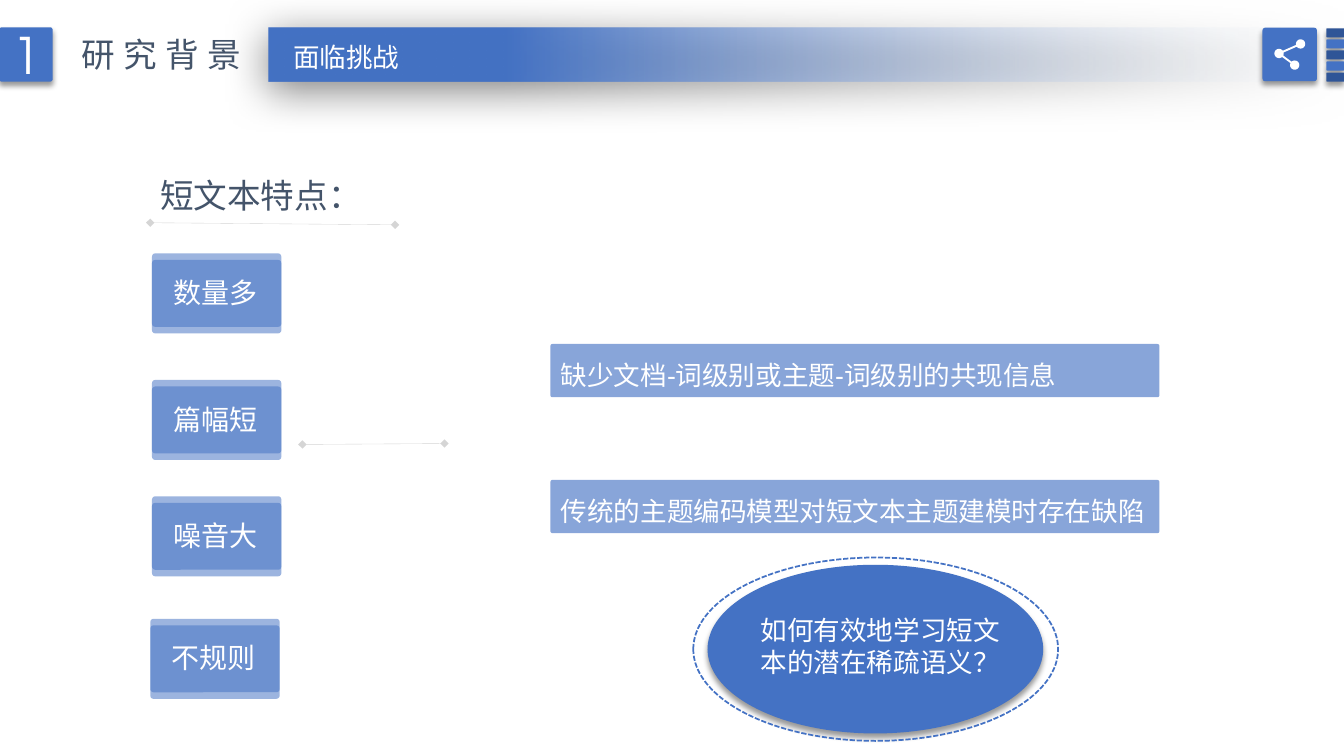
import math

from lxml import etree
from pptx import Presentation
from pptx import util as u
from pptx.dml import color as colors
from pptx.enum import dml, shapes, text
from pptx.oxml import ns

BLUE, NAVY, SLATE, WHITE = "4472C4", "2F5597", "44546A", "FFFFFF"
SANS, ROUND = "Noto Sans CJK SC", "TeX Gyre Adventor"
SMALL_SHADOW = (40, 4, 3, 90)  # opacity, blur, distance, angle

rgb = colors.RGBColor.from_string
presentation = Presentation()
presentation.slide_width, presentation.slide_height = u.Pt(960), u.Pt(540)
slide = presentation.slides.add_slide(presentation.slide_layouts[6])


def add_box(kind, left, top, width, height, fill=BLUE, opacity=100, corner=None, shadow=None):
    shape = slide.shapes.add_shape(kind, *map(u.Pt, (left, top, width, height)))
    shape.shadow.inherit = False
    shape.line.fill.background()
    if corner is not None:
        shape.adjustments[0] = corner
    if fill:
        shape.fill.solid()
        shape.fill.fore_color.rgb = rgb(fill)
        if opacity < 100:
            color = shape._element.spPr.find(".//" + ns.qn("a:srgbClr"))
            etree.SubElement(color, ns.qn("a:alpha"), val=str(opacity * 1000))
    else:
        shape.fill.background()
    if shadow:
        strength, blur, distance, angle = shadow
        effects = shape._element.spPr.find(ns.qn("a:effectLst"))
        outer = etree.SubElement(effects, ns.qn("a:outerShdw"), blurRad=str(u.Pt(blur)),
                                 dist=str(u.Pt(distance)), dir=str(angle * 60000),
                                 algn="ctr", rotWithShape="0")
        color = etree.SubElement(outer, ns.qn("a:srgbClr"), val="000000")
        etree.SubElement(color, ns.qn("a:alpha"), val=str(strength * 1000))
    return shape


def write_text(words, shape=None, box=None, size=19, font=SANS, color=WHITE, align="LEFT",
               anchor="TOP", wrap=True, grow=True, line_spacing=None, tracking=None):
    shape = shape or slide.shapes.add_textbox(*map(u.Pt, box))
    frame = shape.text_frame
    frame.word_wrap = wrap
    frame.vertical_anchor = text.MSO_ANCHOR[anchor]
    if grow:
        frame.auto_size = text.MSO_AUTO_SIZE.SHAPE_TO_FIT_TEXT
    paragraph = frame.paragraphs[0]
    paragraph.alignment = text.PP_ALIGN[align]
    paragraph.line_spacing = line_spacing
    run = paragraph.add_run()
    run.text = words
    run.font.size, run.font.name = u.Pt(size), font
    run.font.color.rgb = rgb(color)
    properties = run.font._element
    etree.SubElement(properties, ns.qn("a:ea"), typeface=SANS)
    if tracking:
        properties.set("spc", str(tracking * 100))


shape_kind = shapes.MSO_SHAPE

# Header band, fading out to the right
band = add_box(shape_kind.RECTANGLE, 192, 20, 768, 38.2, shadow=(50, 31, 6, 97))
band.fill.gradient()
band.fill.gradient_angle = 180
for stop, position, color in zip(band.fill.gradient_stops, (0, 0.78), ("F7FAFD", BLUE)):
    stop.position = position
    stop.color.rgb = rgb(color)
clear_color = band._element.spPr.find(".//" + ns.qn("a:srgbClr"))
etree.SubElement(clear_color, ns.qn("a:alpha"), val="0")

# Header number and titles
number = add_box(shape_kind.ROUNDED_RECTANGLE, -0.5, 19.5, 38.2, 38.9,
                 corner=0.05, shadow=SMALL_SHADOW)
write_text("1", number, size=36, font=ROUND, align="CENTER", anchor="MIDDLE", grow=False)
write_text("研究背景", box=(51, 21, 130.5, 36), size=24, color=SLATE, wrap=False, tracking=6)
write_text("面临挑战", box=(201.6, 26, 91.4, 30), align="CENTER", wrap=False)

# Stripes at the right edge
for index in range(5):
    add_box(shape_kind.ROUNDED_RECTANGLE, 947.5, 20.2 + 7.9 * index, 12.5, 6.5,
            fill=BLUE if index % 2 else NAVY, corner=0.05, shadow=SMALL_SHADOW)

# Share button: one outline running around three linked dots
add_box(shape_kind.ROUNDED_RECTANGLE, 901.8, 19.8, 38.9, 38.2, corner=0.05, shadow=SMALL_SHADOW)
upper, middle, lower = (929, 31.4), (913.6, 38.2), (924.8, 46.5)
outline = []
for (x, y), start, end in ((upper, 168, 504), (middle, -12, 25),
                           (lower, 228, 565), (middle, 49, 324)):
    for step in range(25):
        angle = math.radians(start + (end - start) * step / 24)
        outline.append((u.Pt(x + 3.3 * math.cos(angle)), u.Pt(y + 3.3 * math.sin(angle))))
builder = slide.shapes.build_freeform(*outline[0])
builder.add_line_segments(outline[1:], close=True)
share = builder.convert_to_shape()
share.shadow.inherit = False
share.fill.solid()
share.fill.fore_color.rgb = rgb(WHITE)
share.line.fill.background()

# Heading of the list
write_text("短文本特点：", box=(107.3, 113, 160, 45), size=24, color=SLATE,
           wrap=False, line_spacing=1.3)

# Thin lines with diamond ends
for ends in ((107.3, 159.1, 282.2, 160.6), (216, 317.5, 317.5, 316.8)):
    connector = slide.shapes.add_connector(shapes.MSO_CONNECTOR.STRAIGHT, *map(u.Pt, ends))
    connector.line.width = u.Pt(0.25)
    connector.line.color.rgb = rgb("808080")
    properties = connector._element.spPr
    color = properties.find(".//" + ns.qn("a:srgbClr"))
    etree.SubElement(color, ns.qn("a:alpha"), val="33000")
    for end in ("a:headEnd", "a:tailEnd"):
        etree.SubElement(connector.line._get_or_add_ln(), ns.qn(end), type="diamond")
    etree.SubElement(properties, ns.qn("a:effectLst"))

# Features of short texts, each on two overlapping plates
for words, left, top in (("数量多", 108.6, 181), ("篇幅短", 108.6, 271.4),
                         ("噪音大", 108.6, 354.5), ("不规则", 107.4, 442)):
    for offset in (4.7, 0):
        add_box(shape_kind.ROUNDED_RECTANGLE, left, top + offset, 92.4, 52.5,
                opacity=53, corner=0.044)
    write_text(words, box=(left + 8, top + 12.2, 77, 31.5), size=20, font=ROUND)

# Problem statements
for words, top in (("缺少文档-词级别或主题-词级别的共现信息", 245.7),
                   ("传统的主题编码模型对短文本主题建模时存在缺陷", 342.8)):
    bar = add_box(shape_kind.ROUNDED_RECTANGLE, 393.2, top, 435, 38, opacity=63, corner=0.038)
    write_text(words, bar, font="Arial", line_spacing=1.3)

# Central question
add_box(shape_kind.OVAL, 505.4, 403.4, 239.8, 120.5, shadow=SMALL_SHADOW)
ring = add_box(shape_kind.OVAL, 495.2, 398.2, 260.6, 131, fill=None)
ring.line.color.rgb = rgb(BLUE)
ring.line.width = u.Pt(1.25)
ring.line.dash_style = dml.MSO_LINE.SQUARE_DOT
write_text("如何有效地学习短文本的潜在稀疏语义？", box=(536.4, 434.9, 193, 53.3), font=ROUND)

presentation.save("out.pptx")
